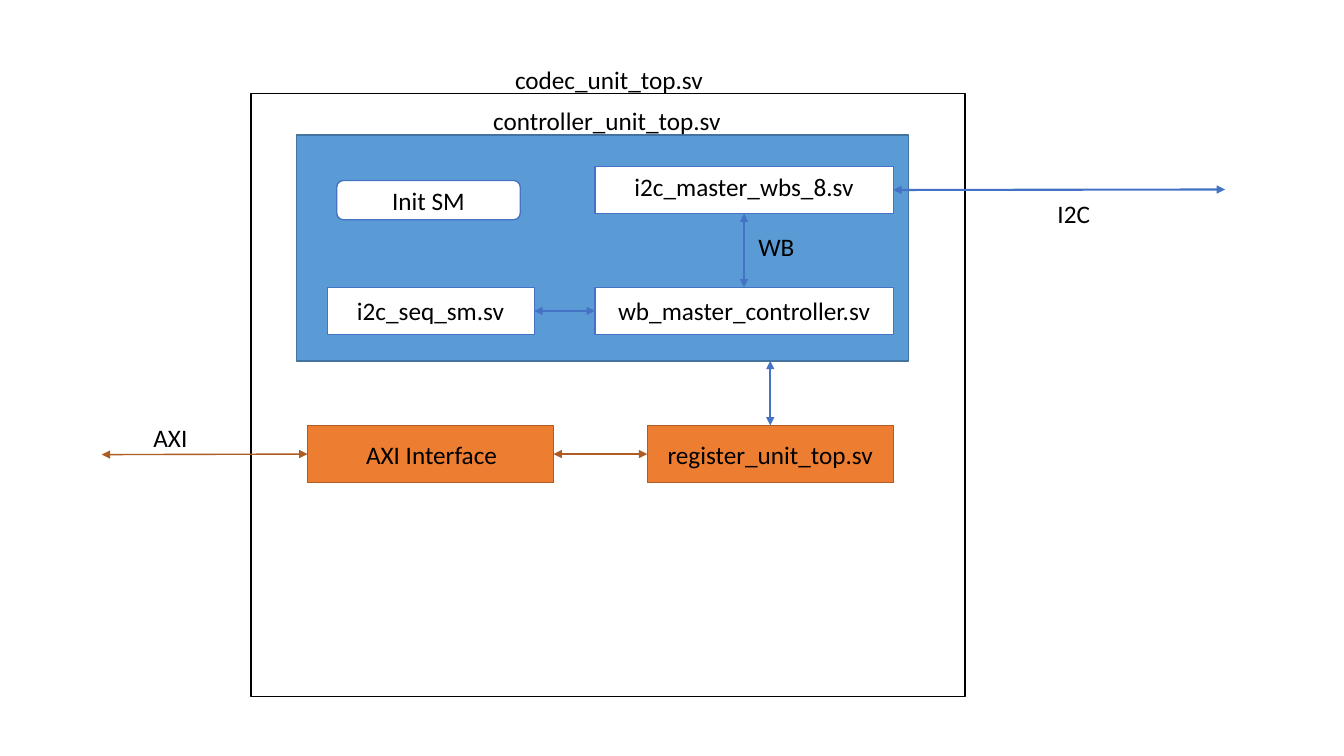
from lxml.etree import SubElement
from pptx import Presentation
from pptx.dml.color import RGBColor
from pptx.enum.shapes import MSO_CONNECTOR, MSO_SHAPE
from pptx.enum.text import MSO_ANCHOR, MSO_AUTO_SIZE, PP_ALIGN
from pptx.oxml.ns import qn
from pptx.util import Inches, Pt

WIDE, HIGH = 13.33, 7.5  # columns and rows of one inch
BLACK, WHITE = "000000", "FFFFFF"
BLUE, SKY, NAVY = "4472C4", "5B9BD5", "43739E"
AMBER, RUST = "ED7D31", "AF5C24"
TOP, LEFT, BASE, RIGHT = range(4)  # connection sites of a box


def hue(code):
    """Turn a hex string into a colour."""
    return RGBColor.from_string(code)


def write(frame, text, size=18, font="Calibri", color=BLACK, wrap=True):
    """Put one centred line of text in a frame."""
    frame.word_wrap = wrap
    frame.vertical_anchor = MSO_ANCHOR.MIDDLE
    line = frame.paragraphs[0]
    line.alignment = PP_ALIGN.CENTER
    run = line.add_run()
    run.text = text
    run.font.size, run.font.name = Pt(size), font
    run.font.color.rgb = hue(color)


def box(slide, col, row, wide, high, fill=WHITE, edge=BLUE,
        kind=MSO_SHAPE.RECTANGLE):
    """Draw a filled, outlined block."""
    shape = slide.shapes.add_shape(kind, *map(Inches, (col, row, wide, high)))
    shape.shadow.inherit = False
    shape.fill.solid()
    shape.fill.fore_color.rgb = hue(fill)
    shape.line.color.rgb = hue(edge)
    shape.line.width = Pt(1)
    return shape


def label(slide, text, mid, row, wide):
    """Centre a text box on a column and a row."""
    high = 0.4
    note = slide.shapes.add_textbox(
        *map(Inches, (mid - wide / 2, row - high / 2, wide, high)))
    write(note.text_frame, text, wrap=False)
    note.text_frame.auto_size = MSO_AUTO_SIZE.SHAPE_TO_FIT_TEXT


def arrow(slide, start, end, color=BLUE, width=1.5, tie=None, bind=None):
    """Draw a two-headed arrow, glued to (shape, site) pairs if given."""
    link = slide.shapes.add_connector(
        MSO_CONNECTOR.STRAIGHT, *map(Inches, (*start, *end)))
    if tie:
        link.begin_connect(*tie)
    if bind:
        link.end_connect(*bind)
    link.line.color.rgb = hue(color)
    link.line.width = Pt(width)
    stroke = link.line._get_or_add_ln()
    for tag in ("a:headEnd", "a:tailEnd"):
        SubElement(stroke, qn(tag), type="triangle")
    SubElement(link._element.spPr, qn("a:effectLst"))


def main():
    """Build the codec unit diagram."""
    deck = Presentation()
    deck.slide_width, deck.slide_height = Inches(WIDE), Inches(HIGH)
    slide = deck.slides.add_slide(deck.slide_layouts[6])

    box(slide, 2.49, 0.93, 7.08, 5.98, edge=BLACK)
    box(slide, 2.94, 1.34, 6.07, 2.24, fill=SKY, edge=NAVY)
    wbs, ctrl = [box(slide, 5.9, row, 2.96, 0.47) for row in (1.65, 2.85)]
    seq = box(slide, 3.25, 2.85, 2.05, 0.47)
    init = box(slide, 3.34, 1.79, 1.82, 0.39, kind=MSO_SHAPE.ROUNDED_RECTANGLE)
    write(init.text_frame, "Init SM")
    axi, regs = [box(slide, col, 4.22, 2.44, 0.57, fill=AMBER, edge=RUST)
                 for col in (3.05, 6.42)]

    arrow(slide, (8.86, 1.88), (12.15, 1.88), tie=(wbs, RIGHT))
    arrow(slide, (7.38, 2.85), (7.38, 2.12), tie=(ctrl, TOP), bind=(wbs, BASE))
    arrow(slide, (5.3, 3.09), (5.9, 3.09), tie=(seq, RIGHT), bind=(ctrl, LEFT))
    arrow(slide, (7.64, 4.22), (7.64, 3.58), tie=(regs, TOP))
    arrow(slide, (5.5, 4.51), (6.42, 4.51), RUST, 1,
          tie=(axi, RIGHT), bind=(regs, LEFT))
    arrow(slide, (1.01, 4.51), (3.05, 4.51), RUST, 1, bind=(axi, LEFT))

    for text, mid, row, wide in (
            ("codec_unit_top.sv", 6.04, 0.79, 2.09),
            ("controller_unit_top.sv", 6.02, 1.19, 2.48),
            ("i2c_master_wbs_8.sv", 7.38, 1.85, 2.4),
            ("wb_master_controller.sv", 7.38, 3.08, 2.73),
            ("i2c_seq_sm.sv", 4.27, 3.08, 1.68),
            ("register_unit_top.sv", 7.64, 4.51, 2.26),
            ("AXI Interface", 4.28, 4.51, 1.52),
            ("I2C", 10.65, 2.12, 0.53),
            ("WB", 7.7, 2.44, 0.56),
            ("AXI", 1.69, 4.34, 0.54)):
        label(slide, text, mid, row, wide)

    deck.save("out.pptx")


main()
